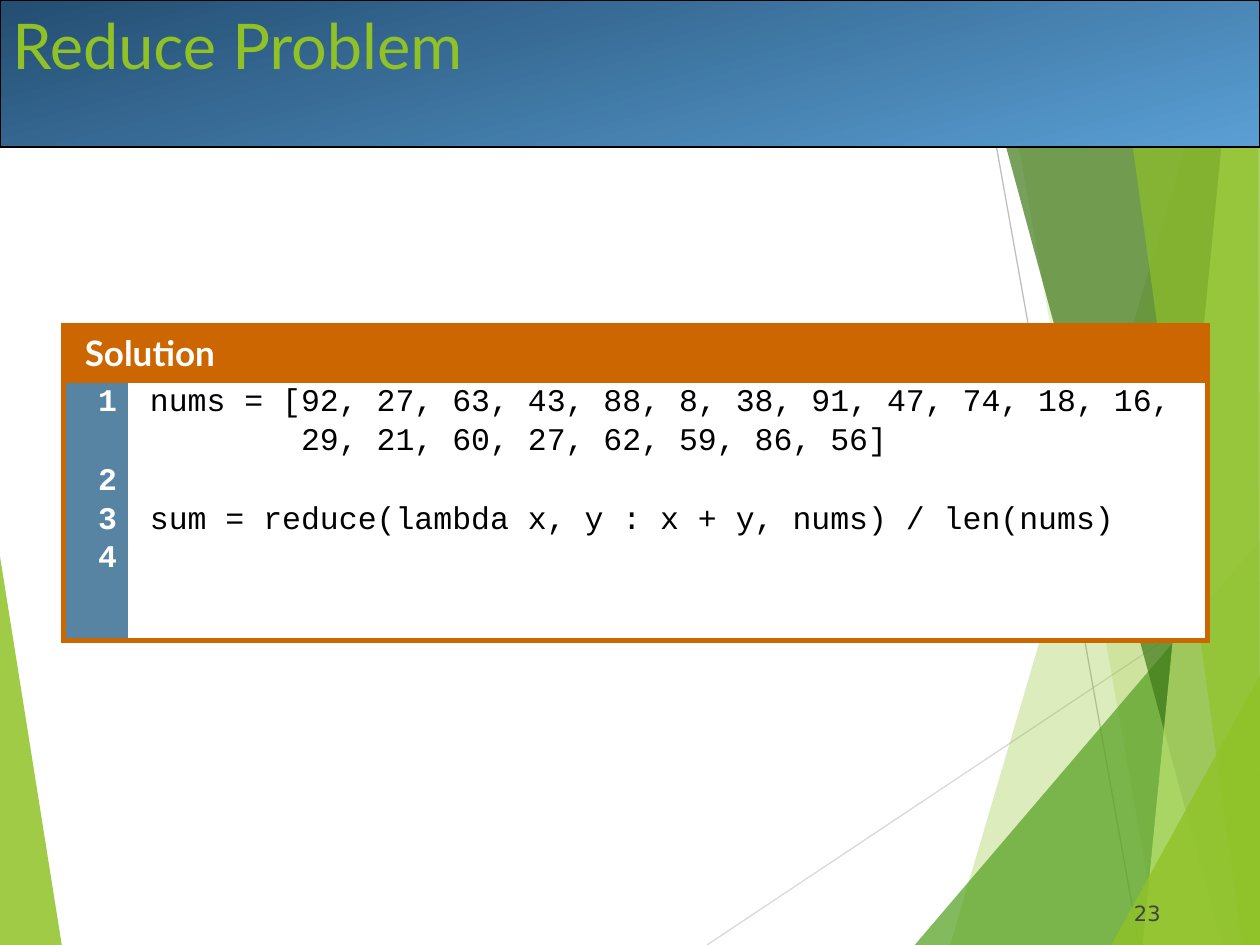
from lxml.etree import SubElement
from pptx import Presentation
from pptx.dml.color import RGBColor
from pptx.enum.shapes import MSO_CONNECTOR as Connector, MSO_SHAPE as Shape
from pptx.enum.text import MSO_ANCHOR as Anchor, PP_ALIGN as Align
from pptx.oxml.ns import qn
from pptx.util import Pt

WIDTH, HEIGHT = 720, 540
COLORS = {
    "lime": "90C226", "green": "54A021", "forest": "3F7819", "pale": "C0E474",
    "light gray": "D9D9D9", "gray": "BFBFBF", "dark gray": "424242",
    "navy": "244E72", "sky": "5A9FD4", "orange": "CC6600", "steel": "5784A3",
    "white": "FFFFFF", "black": "000000",
}

TITLE = "Reduce Problem"
PAGE_NUMBER = "23"
HEADING = "Solution"
# Each line carries the number of empty lines above it.
LINE_NUMBERS = [("1", 0), ("2", 1), ("3", 0), ("4", 0)]
CODE = [
    ("nums = [92, 27, 63, 43, 88, 8, 38, 91, 47, 74, 18, 16,", 0),
    ("        29, 21, 60, 27, 62, 59, 86, 56]", 0),
    ("sum = reduce(lambda x, y : x + y, nums) / len(nums)", 1),
]
LINE_GAP, LINE_PITCH = 4.5, 22.5

# Corner points, colour, opacity in percent
LEFT_FACET = ([(0, 318), (35.3, HEIGHT), (0, HEIGHT)], "lime", 85)
RAYS = [  # start, end, colour
    ((404, HEIGHT), (WIDTH, 329.5), "light gray"),
    ((554.4, 0), (651, HEIGHT), "gray"),
]
RIGHT_FACETS = [
    ([(702, 0), (543, HEIGHT), (WIDTH, HEIGHT), (WIDTH, 0)], "lime", 30),
    ([(567.4, 0), (662.4, HEIGHT), (WIDTH, HEIGHT), (WIDTH, 0)], "lime", 20),
    ([(522.7, HEIGHT), (WIDTH, 309), (WIDTH, HEIGHT)], "green", 72),
    ([(552.2, 0), (698.4, HEIGHT), (WIDTH, HEIGHT), (WIDTH, 0)], "forest", 70),
    ([(706.3, 0), (653, HEIGHT), (WIDTH, HEIGHT), (WIDTH, 0)], "pale", 70),
    ([(635.8, 0), (710, HEIGHT), (WIDTH, HEIGHT), (718.6, 0)], "lime", 65),
    ([(635, HEIGHT), (WIDTH, 386), (WIDTH, HEIGHT)], "lime", 80),
]


def rgb(name):
    return RGBColor.from_string(COLORS[name])


def add_facet(page, points, color, opacity):
    corners = [(Pt(x), Pt(y)) for x, y in points]
    builder = page.shapes.build_freeform(*corners[0])
    builder.add_line_segments(corners[1:], close=True)
    facet = builder.convert_to_shape()
    facet.shadow.inherit = False
    facet.line.fill.background()
    facet.fill.solid()
    facet.fill.fore_color.rgb = rgb(color)
    srgb = facet._element.spPr.find(".//" + qn("a:srgbClr"))
    SubElement(srgb, qn("a:alpha"), val=str(opacity * 1000))


def add_ray(page, start, end, color):
    ray = page.shapes.add_connector(
        Connector.STRAIGHT, *(Pt(value) for value in start + end))
    ray.line.color.rgb = rgb(color)
    ray.line.width = Pt(0.75)
    SubElement(ray._element.spPr, qn("a:effectLst"))


def add_banner(page):
    banner = page.shapes.add_shape(Shape.RECTANGLE, 0, 0, Pt(WIDTH), Pt(84))
    banner.shadow.inherit = False
    banner.fill.gradient()
    banner.fill.gradient_angle = 285
    for stop, color in zip(banner.fill.gradient_stops, ("navy", "sky")):
        stop.color.rgb = rgb(color)
    banner.line.color.rgb = rgb("black")
    banner.line.width = Pt(0.75)


def style(para, face, size, color, bold=False):
    font = para.font
    font.name, font.size, font.bold = face, Pt(size), bold
    font.color.rgb = rgb(color)


def add_text(page, text, place, face, size, color):
    box = page.shapes.add_textbox(*(Pt(value) for value in place))
    frame = box.text_frame
    frame.word_wrap = True
    frame.text = text
    style(frame.paragraphs[0], face, size, color)
    return frame


def set_cell(cell, fill, sides, right_margin):
    """Fill a cell and draw the borders on the given sides (L, R, T, B)."""
    cell.margin_left = cell.margin_top = cell.margin_bottom = Pt(3.6)
    cell.margin_right = Pt(right_margin)
    properties = cell._tc.get_or_add_tcPr()
    for side in "LRTB":
        border = SubElement(properties, qn("a:ln" + side), w=str(Pt(3)))
        if side in sides:
            solid = SubElement(border, qn("a:solidFill"))
            SubElement(solid, qn("a:srgbClr"), val=COLORS["orange"])
        else:
            SubElement(border, qn("a:noFill"))
    cell.fill.solid()
    cell.fill.fore_color.rgb = rgb(fill)


def indent(para):
    para._p.get_or_add_pPr().set("marL", str(Pt(8.64)))


def write_lines(cell, lines, align, color, bold):
    frame = cell.text_frame
    for index, (text, empty_above) in enumerate(lines):
        para = frame.add_paragraph() if index else frame.paragraphs[0]
        para.text = text
        para.alignment = align
        para.line_spacing = 0.87
        if index:
            para.space_before = Pt(LINE_GAP + empty_above * LINE_PITCH)
        indent(para)
        style(para, "Courier New", 18, color, bold)


def add_listing(page):
    widths, heights = (37.2, 616.8), (31.5, 148.5)
    table = page.shapes.add_table(
        2, 2, Pt(36.2), Pt(186), Pt(sum(widths)), Pt(sum(heights))).table
    for column, width in zip(table.columns, widths):
        column.width = Pt(width)
    for row, height in zip(table.rows, heights):
        row.height = Pt(height)

    heading, heading_end = table.cell(0, 0), table.cell(0, 1)
    numbers, code = table.cell(1, 0), table.cell(1, 1)
    heading.merge(heading_end)
    set_cell(heading, "orange", "LRTB", 3.6)
    set_cell(heading_end, "orange", "RTB", 3.6)
    set_cell(numbers, "steel", "LTB", 6.5)
    set_cell(code, "white", "RTB", 13)

    heading.text = HEADING
    para = heading.text_frame.paragraphs[0]
    indent(para)
    style(para, "Lato", 20, "white", True)
    write_lines(numbers, LINE_NUMBERS, Align.RIGHT, "white", True)
    write_lines(code, CODE, Align.LEFT, "black", False)


def main():
    deck = Presentation()
    deck.slide_width, deck.slide_height = Pt(WIDTH), Pt(HEIGHT)
    page = deck.slides.add_slide(deck.slide_layouts[6])

    add_facet(page, *LEFT_FACET)
    for ray in RAYS:
        add_ray(page, *ray)
    for facet in RIGHT_FACETS:
        add_facet(page, *facet)
    add_banner(page)

    number = add_text(page, PAGE_NUMBER, (648, 500.4, 59.8, 28.8),
                      "DejaVu Sans", 12, "dark gray")
    number.vertical_anchor = Anchor.BOTTOM
    number.margin_left = number.margin_right = 0
    number.margin_top = number.margin_bottom = 0
    add_text(page, TITLE, (0, 0, 648, 90), "Lato", 36, "lime")
    add_listing(page)
    deck.save("out.pptx")


if __name__ == "__main__":
    main()
